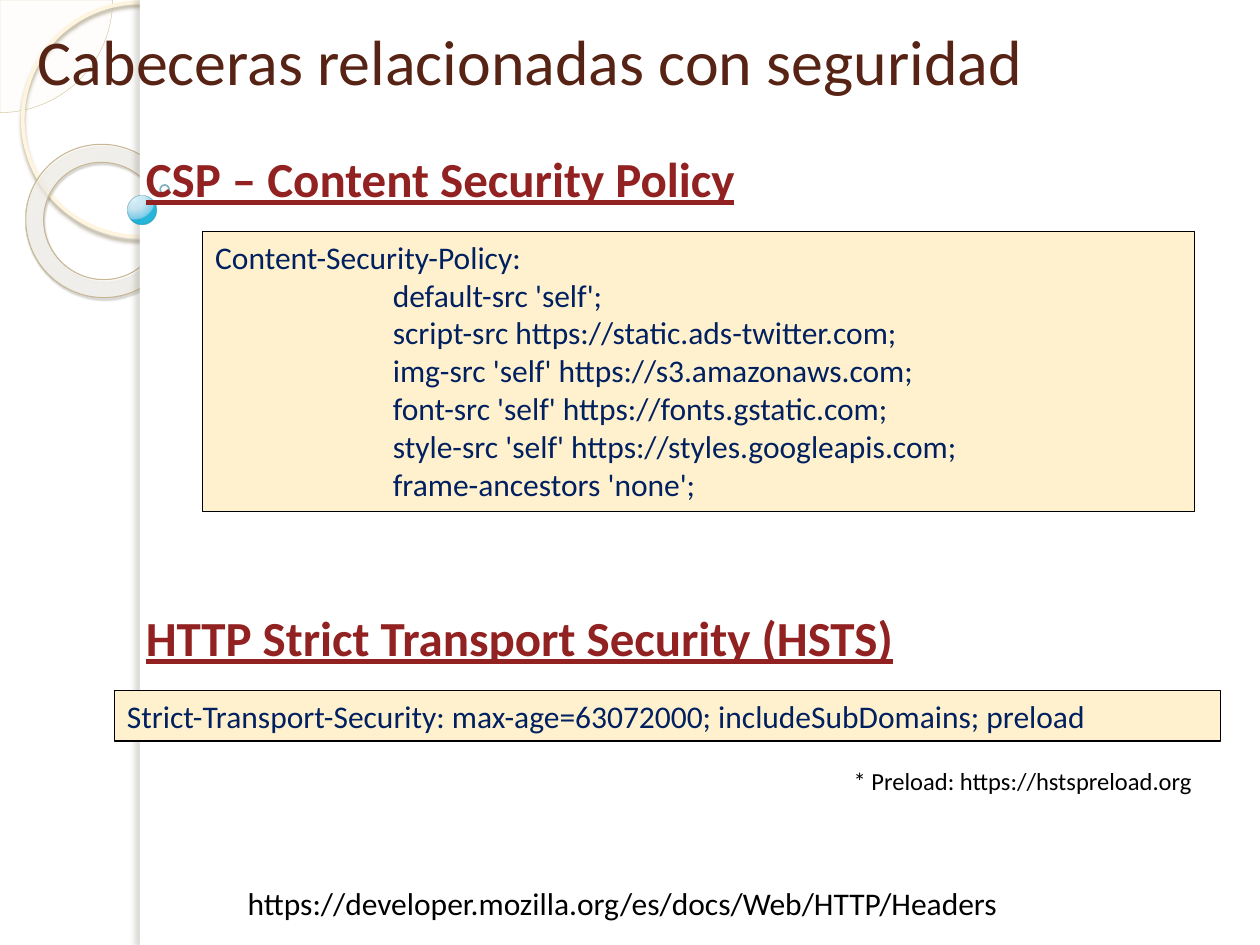
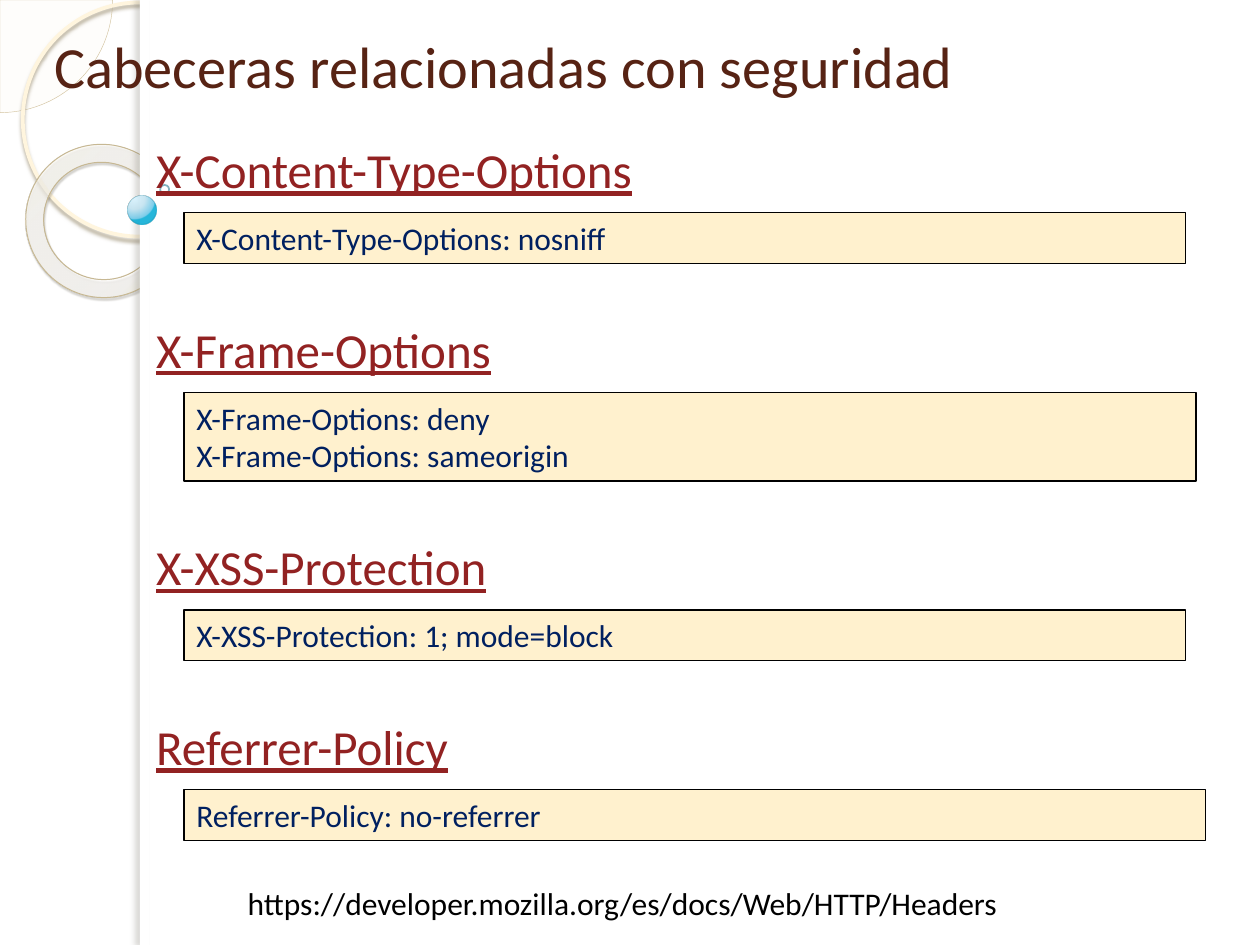
from lxml.etree import SubElement
from pptx import Presentation
from pptx.dml.color import RGBColor
from pptx.enum.shapes import MSO_SHAPE as Preset
from pptx.enum.text import MSO_ANCHOR as Anchor, MSO_AUTO_SIZE as AutoSize, PP_ALIGN as Align
from pptx.oxml.ns import qn
from pptx.util import Cm, Pt

FONT = "Calibri"
COLORS = {
    "title": "572314", "heading": "922222", "code": "002060", "text": "000000",
    "code_fill": "FFF1CE", "code_line": "000000", "panel": "FFFFFF",
    "pie": "FEFAF4", "pie_line": "D3C39F", "ring": "FFF5DE", "ring_shadow": "B0A68F",
    "donut_line": "C7B893", "donut_shadow": "5A5444", "edge_shadow": "736F63",
    "ball_line": "308EA5", "dot_line": "318093",
}
# Gradient stops: position, colour, opacity (all percentages)
DONUT_STOPS = [(0, "FFFCF6", 70), (70, "FFFEFB", 55), (100, "F0D28E", 60)]
BALL_STOPS = [(0, "DAF4FF", 95), (50, "C3E3F0", 90), (95, "6BC7E8", 88), (100, "00ABD5", 85)]

SLIDE_W, SLIDE_H = 25.4, 19.05
PANEL_LEFT = 2.82
HEADING_H = 1.45
LINE_H, CODE_PADDING = 0.77, 0.25
CODE_INDENT = " " * 25
TITLE = "Cabeceras relacionadas con seguridad"
SOURCE = "https://developer.mozilla.org/es/docs/Web/HTTP/Headers"


def rgb(name):
    return RGBColor.from_string(COLORS[name])


def place(shape, left, top, width, height):
    shape.left, shape.top, shape.width, shape.height = map(Cm, (left, top, width, height))


def write(shape, text, size=18, color="text", bold=False, underline=False,
          align=Align.LEFT, anchor=Anchor.TOP, spacing=1.0):
    """Fill a shape with one paragraph per line of text."""
    frame = shape.text_frame
    frame.word_wrap = True
    frame.auto_size = AutoSize.NONE
    frame.vertical_anchor = anchor
    for index, line in enumerate(text.split("\n")):
        para = frame.paragraphs[0] if index == 0 else frame.add_paragraph()
        para.alignment = align
        para.line_spacing = spacing
        span = para.add_run()
        span.text = line
        font = span.font
        font.name, font.size, font.bold, font.underline = FONT, Pt(size), bold, underline
        font.color.rgb = rgb(color)


def add_text(page, box, text, **style):
    shape = page.shapes.add_textbox(*map(Cm, box))
    write(shape, text, **style)


def add_figure(page, preset, box, fill=None, line=None, weight=0.75):
    shape = page.shapes.add_shape(preset, *map(Cm, box))
    shape.shadow.inherit = False
    if fill:
        shape.fill.solid()
        shape.fill.fore_color.rgb = rgb(fill)
    else:
        shape.fill.background()
    if line:
        shape.line.color.rgb = rgb(line)
        shape.line.width = Pt(weight)
    else:
        shape.line.fill.background()
    return shape


def add_alpha(color_element, percent):
    SubElement(color_element, qn("a:alpha"), val=str(percent * 1000))


def set_alpha(shape, percent, part="a:solidFill"):
    """Make the fill (or the line, with part a:ln) translucent."""
    owner = shape._element.spPr.find(qn(part))
    add_alpha(next(owner.iter(qn("a:srgbClr"))), percent)


def set_radial(shape, stops, focus):
    """Replace the fill by a circular gradient around the focus rectangle."""
    properties = shape._element.spPr
    gradient = SubElement(properties, qn("a:gradFill"))
    properties.replace(properties.find(qn("a:noFill")), gradient)
    stop_list = SubElement(gradient, qn("a:gsLst"))
    for position, color, opacity in stops:
        stop = SubElement(stop_list, qn("a:gs"), pos=str(position * 1000))
        add_alpha(SubElement(stop, qn("a:srgbClr"), val=color), opacity)
    radial = SubElement(gradient, qn("a:path"), path="circle")
    sides = {side: str(value * 1000) for side, value in zip("ltrb", focus)}
    SubElement(radial, qn("a:fillToRect"), **sides)


def set_shadow(shape, color, opacity, blur, distance, angle):
    effects = shape._element.spPr.find(qn("a:effectLst"))
    shadow = SubElement(effects, qn("a:outerShdw"), blurRad=str(Pt(blur)),
                        dist=str(Pt(distance)), dir=str(angle * 60000),
                        algn="tl", rotWithShape="0")
    add_alpha(SubElement(shadow, qn("a:srgbClr"), val=COLORS[color]), opacity)


def add_backdrop(page):
    """Circles on the left, partly covered by the white content panel."""
    pie = add_figure(page, Preset.PIE, (-2.27, -2.27, 4.54, 4.54), "pie", "pie_line", 0.25)
    pie.adjustments[0], pie.adjustments[1] = 0, 54
    set_alpha(pie, 33)

    ring = add_figure(page, Preset.OVAL, (0.46, 0.05, 4.72, 4.72), line="ring", weight=2.15)
    set_shadow(ring, "ring_shadow", 85, 2, 2, 90)

    donut = add_figure(page, Preset.DONUT, (0.51, 2.92, 3.12, 3.07),
                       line="donut_line", weight=0.58)
    donut.adjustments[0] = 0.118
    donut.rotation = 38.6
    set_radial(donut, DONUT_STOPS, (-408, -50, 508, 150))
    set_shadow(donut, "donut_shadow", 35, 1, 1.2, 75)

    # White panel and its shaded left edge
    add_figure(page, Preset.RECTANGLE, (PANEL_LEFT, 0, SLIDE_W - PANEL_LEFT, SLIDE_H), "panel")
    edge = add_figure(page, Preset.RECTANGLE, (PANEL_LEFT, 0, 0.2, SLIDE_H), "panel")
    set_shadow(edge, "edge_shadow", 25, 3, 3, 180)

    # Blue ball and small dot
    ball = add_figure(page, Preset.OVAL, (2.57, 3.94, 0.58, 0.58), line="ball_line", weight=0.16)
    set_radial(ball, BALL_STOPS, (25, 12, 75, 88))
    dot = add_figure(page, Preset.OVAL, (3.23, 3.73, 0.18, 0.18), line="dot_line", weight=1)
    for shape in (ball, dot):
        set_alpha(shape, 60, "a:ln")


def add_page(deck, title_box, size, spacing):
    """Slide with backdrop, title and source address."""
    page = deck.slides.add_slide(deck.slide_layouts[5])
    add_backdrop(page)
    title = page.shapes.title
    title._element.getparent().append(title._element)  # bring in front of the panel
    place(title, *title_box)
    write(title, TITLE, size=size, color="title", anchor=Anchor.BOTTOM, spacing=spacing)
    add_text(page, (0, 17.7, 25.1, 1.02), SOURCE, align=Align.CENTER)
    return page


def add_section(page, heading_box, heading, code_left, code_width, code, offset, bold=False):
    """Underlined heading with a code box below; returns the bottom of the box."""
    left, top, width = heading_box
    add_text(page, (left, top, width, HEADING_H), heading,
             size=28, color="heading", bold=bold, underline=True)
    height = CODE_PADDING + LINE_H * len(code)
    box = (code_left, top + offset, code_width, height)
    shape = add_figure(page, Preset.RECTANGLE, box, "code_fill", "code_line")
    write(shape, "\n".join(code), color="code")
    return top + offset + height


def build_policy_page(deck):
    page = add_page(deck, (0.51, 0.33, 24.21, 1.8), 36.5, 0.9)
    directives = [
        "default-src 'self';",
        "script-src https://static.ads-twitter.com;",
        "img-src 'self' https://s3.amazonaws.com;",
        "font-src 'self' https://fonts.gstatic.com;",
        "style-src 'self' https://styles.googleapis.com;",
        "frame-ancestors 'none';",
    ]
    policy = ["Content-Security-Policy:"] + [CODE_INDENT + line for line in directives]
    add_section(page, (2.69, 2.87, 22.1), "CSP – Content Security Policy",
                4.09, 19.99, policy, 1.8, bold=True)
    add_section(page, (2.69, 12.12, 19.61), "HTTP Strict Transport Security (HSTS)", 2.31, 22.3,
                ["Strict-Transport-Security: max-age=63072000; includeSubDomains; preload"],
                1.8, bold=True)
    add_text(page, (2.69, 15.32, 21.59, 0.86), "* Preload: https://hstspreload.org",
             size=14, align=Align.RIGHT)


def build_options_page(deck):
    page = add_page(deck, (0.84, 0.33, 23.06, 1.8), 33.3, 0.8)
    sections = [
        ("X-Content-Type-Options", 20.19, ["X-Content-Type-Options: nosniff"]),
        ("X-Frame-Options", 20.4, ["X-Frame-Options: deny", "X-Frame-Options: sameorigin"]),
        ("X-XSS-Protection", 20.19, ["X-XSS-Protection: 1; mode=block"]),
        ("Referrer-Policy", 20.6, ["Referrer-Policy: no-referrer"]),
    ]
    top, gap = 2.69, 1.0
    for heading, code_width, code in sections:
        bottom = add_section(page, (2.9, top, 19.61), heading, 3.71, code_width, code, 1.6)
        top = bottom + gap


def main():
    deck = Presentation()
    deck.slide_width, deck.slide_height = Cm(SLIDE_W), Cm(SLIDE_H)
    build_policy_page(deck)
    build_options_page(deck)
    deck.save("out.pptx")


if __name__ == "__main__":
    main()
